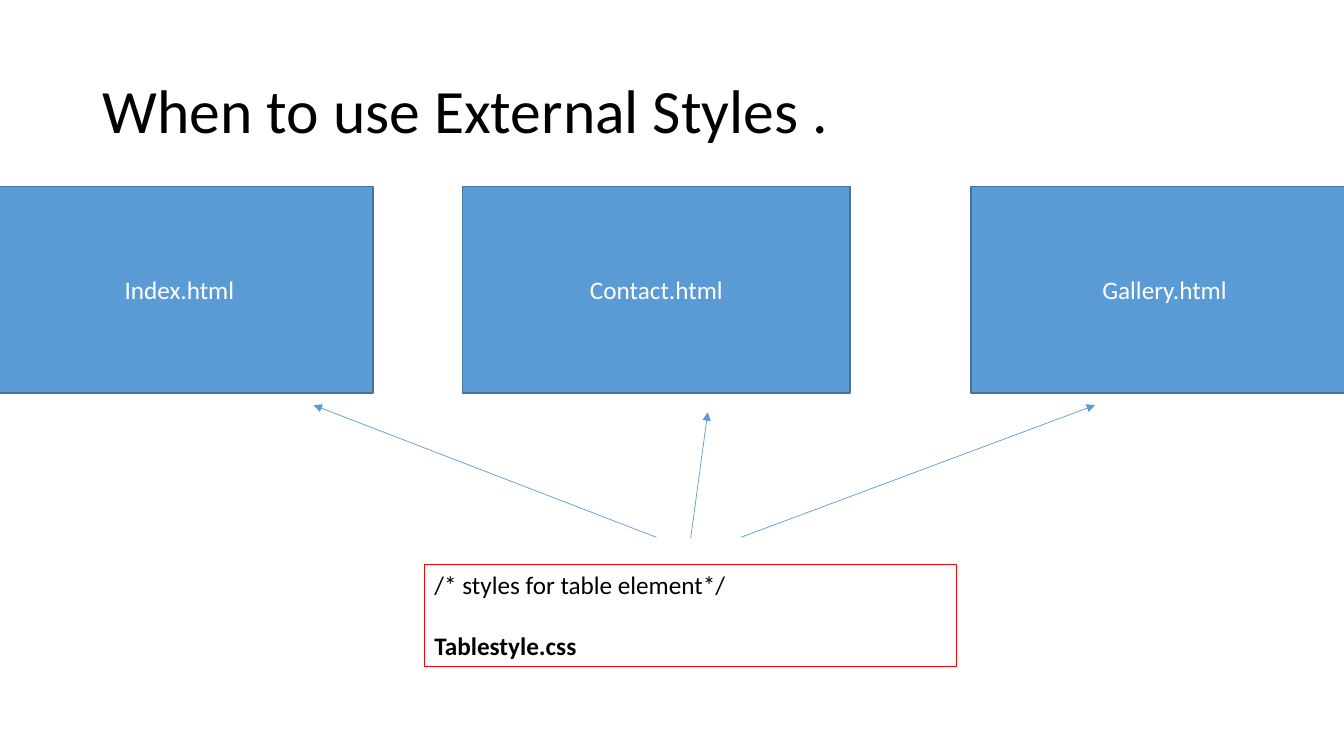
from pptx import Presentation
from pptx.dml.color import RGBColor
from pptx.enum.shapes import MSO_CONNECTOR as Connector, MSO_SHAPE as Shape
from pptx.enum.text import MSO_ANCHOR as Anchor, PP_ALIGN as Align
from pptx.oxml.ns import qn
from pptx.util import Inches, Pt
from lxml.etree import SubElement

COLORS = {
    "blue": "5B9BD5",
    "dark_blue": "43739E",
    "red": "FF0000",
    "black": "000000",
    "white": "FFFFFF",
}
FONT = "Calibri"

# File name and left edge of each web page box
WEB_PAGES = [("Index.html", -0.14), ("Contact.html", 4.59), ("Gallery.html", 9.63)]

# Start and end of each arrow
ARROWS = [
    ((6.51, 5.33), (3.11, 4.02)),
    ((6.85, 5.34), (7.02, 4.09)),
    ((7.35, 5.33), (10.86, 4.02)),
]


def color(name):
    return RGBColor.from_string(COLORS[name])


def add_run(para, text, size, color_name, bold=False):
    span = para.add_run()
    span.text = text
    span.font.name = FONT
    span.font.size = Pt(size)
    span.font.bold = bold
    span.font.color.rgb = color(color_name)


def add_text_box(page, left, top, width, height, anchor):
    box = page.shapes.add_textbox(
        Inches(left), Inches(top), Inches(width), Inches(height))
    box.text_frame.word_wrap = True
    box.text_frame.vertical_anchor = anchor
    return box


def add_title(page, text):
    box = add_text_box(page, 0.92, 0.4, 11.5, 1.45, Anchor.MIDDLE)
    para = box.text_frame.paragraphs[0]
    para.line_spacing = 0.9
    add_run(para, text, 44, "black")


def add_web_page(page, name, left):
    box = page.shapes.add_shape(
        Shape.RECTANGLE, Inches(left), Inches(1.85), Inches(3.84), Inches(2.05))
    box.shadow.inherit = False
    box.fill.solid()
    box.fill.fore_color.rgb = color("blue")
    box.line.color.rgb = color("dark_blue")
    box.line.width = Pt(1)
    box.text_frame.vertical_anchor = Anchor.MIDDLE
    para = box.text_frame.paragraphs[0]
    para.alignment = Align.CENTER
    add_run(para, name, 18, "white")


def add_style_sheet(page, comment, name):
    box = add_text_box(page, 4.21, 5.6, 5.28, 1.01, Anchor.TOP)
    box.line.color.rgb = color("red")
    box.line.width = Pt(0.75)
    add_run(box.text_frame.paragraphs[0], comment, 18, "black")
    para = box.text_frame.add_paragraph()
    para.space_before = Pt(22)
    add_run(para, name, 18, "black", bold=True)


def add_arrow(page, start, end):
    arrow = page.shapes.add_connector(
        Connector.STRAIGHT, *[Inches(value) for value in start + end])
    arrow.line.color.rgb = color("blue")
    arrow.line.width = Pt(0.5)
    SubElement(arrow.line._get_or_add_ln(), qn("a:tailEnd"), type="triangle")
    SubElement(arrow._element.spPr, qn("a:effectLst"))


def main():
    deck = Presentation()
    deck.slide_width = Inches(13.33)
    deck.slide_height = Inches(7.5)
    page = deck.slides.add_slide(deck.slide_layouts[6])

    add_title(page, "When to use External Styles .")

    # Web pages
    for name, left in WEB_PAGES:
        add_web_page(page, name, left)

    # Shared style sheet and its links to the pages
    add_style_sheet(page, "/* styles for table element*/", "Tablestyle.css")
    for start, end in ARROWS:
        add_arrow(page, start, end)

    deck.save("out.pptx")


if __name__ == "__main__":
    main()
